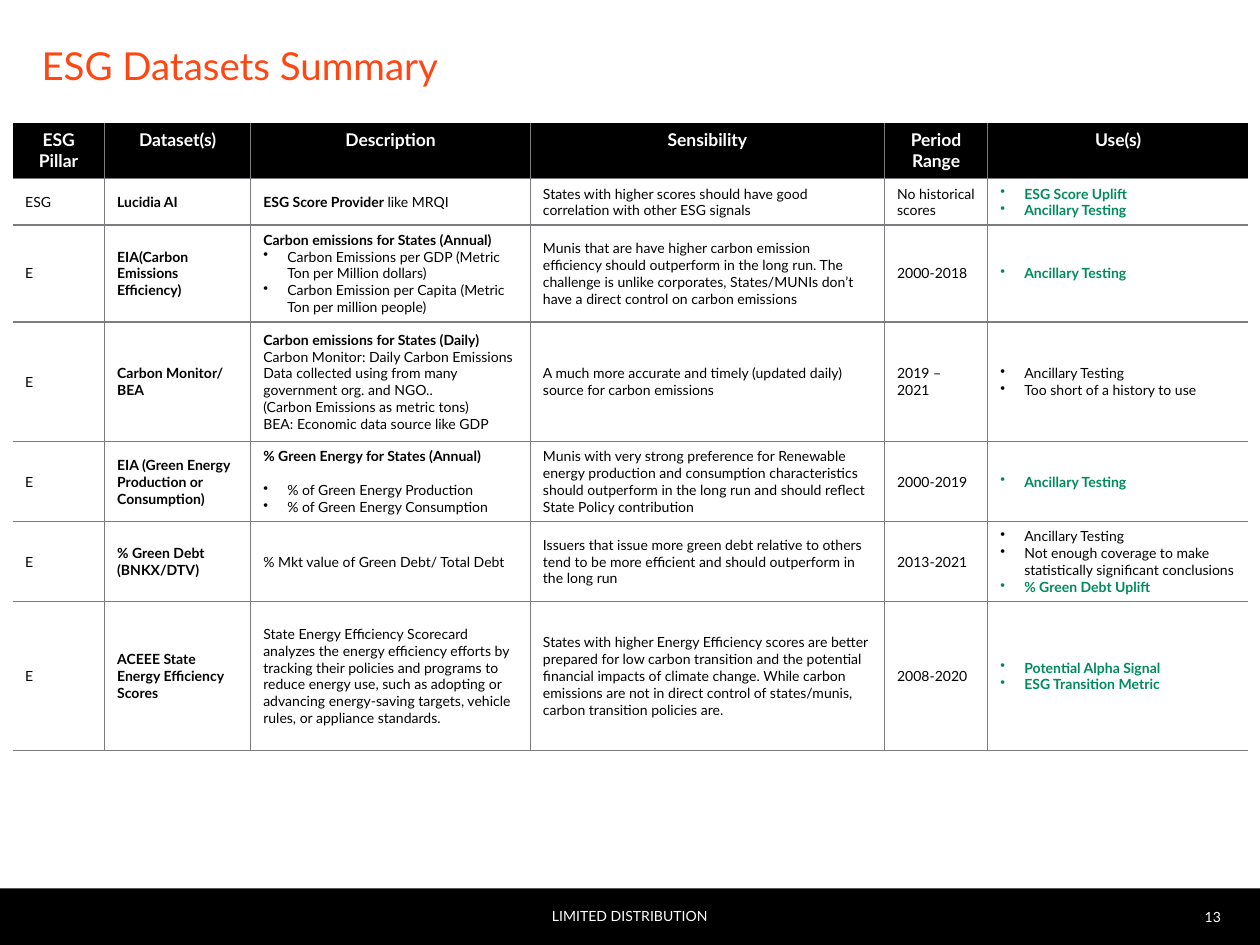
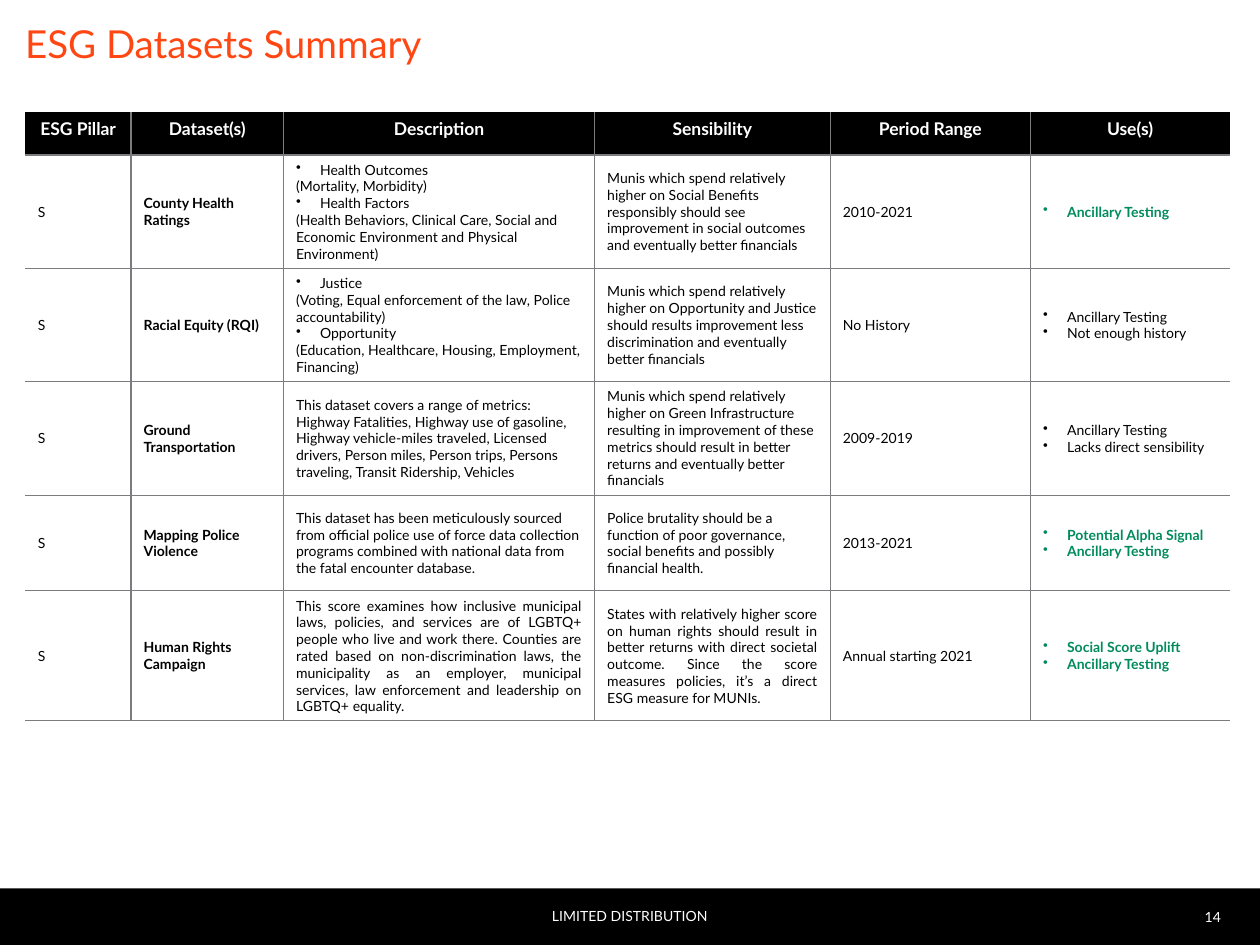
from pptx import Presentation
from pptx.dml.color import RGBColor
from pptx.enum.shapes import MSO_SHAPE as Shape
from pptx.enum.text import MSO_ANCHOR as Anchor, PP_ALIGN as Align
from pptx.oxml.ns import qn
from pptx.oxml.xmlchemy import OxmlElement as Element
from pptx.util import Inches, Pt

BLACK, WHITE, ORANGE, GREEN, GRAY = "000000", "FFFFFF", "FF4713", "008B5C", "7C7B7F"
FONT = "Lato"
PLAIN_TABLE = "{2D5ABB26-0587-4C30-8999-92F81FD0307C}"
HEADINGS = ["ESG Pillar", "Dataset(s)", "Description", "Sensibility", "Period Range", "Use(s)"]


def color(code):
    return RGBColor.from_string(code)


def line(text, **style):
    return dict(text=text, **style)


def bullet(text, **style):
    return line(text, bulleted=True, **style)


def chosen(text):
    return bullet(text, ink=GREEN, bold=True)


def justified(text):
    return line(text, align=Align.JUSTIFY)


def write(para, text, size=8, ink=BLACK, bold=False, align=Align.LEFT, bulleted=False, before=0):
    para.alignment = align
    if before:
        para.space_before = Pt(before)
    if bulleted:
        props = para._p.get_or_add_pPr()
        props.set("marL", str(Inches(0.19)))
        props.set("indent", str(-Inches(0.19)))
        mark = Element("a:buChar")
        mark.set("char", "•")
        props.append(mark)
    for index, part in enumerate(text.split("**")):
        if part:
            span = para.add_run()
            span.text = part
            span.font.name = FONT
            span.font.size = Pt(size)
            span.font.bold = bold or index % 2 == 1
            span.font.color.rgb = color(ink)


class Report:
    COLUMNS, ROWS = 100, 75

    def __init__(self):
        self.deck = Presentation()
        self.deck.slide_width, self.deck.slide_height = Inches(10), Inches(7.5)
        self.page = None

    def across(self, columns):
        return round(self.deck.slide_width * columns / self.COLUMNS)

    def down(self, rows):
        return round(self.deck.slide_height * rows / self.ROWS)

    def place(self, left, top, width, height):
        return self.across(left), self.down(top), self.across(width), self.down(height)

    def start_page(self, title, number, left, top):
        self.page = self.deck.slides.add_slide(self.deck.slide_layouts[6])
        self.band(0, 70.5, 100, 4.5)
        self.label(title, (left, top, 93.3, 6.5), Anchor.TOP, size=22, ink=ORANGE)
        self.label(str(number), (92.4, 70.5, 4.5, 4.5), ink=WHITE, align=Align.RIGHT)
        self.label("LIMITED DISTRIBUTION", (17.5, 70.4, 65, 4.5), ink=WHITE, align=Align.CENTER)

    def band(self, *area):
        shape = self.page.shapes.add_shape(Shape.RECTANGLE, *self.place(*area))
        shape.shadow.inherit = False
        shape.fill.solid()
        shape.fill.fore_color.rgb = color(BLACK)
        shape.line.fill.background()

    def label(self, text, area, anchor=Anchor.MIDDLE, **style):
        frame = self.page.shapes.add_textbox(*self.place(*area)).text_frame
        frame.word_wrap = True
        frame.vertical_anchor = anchor
        frame.margin_left = frame.margin_right = frame.margin_top = frame.margin_bottom = 0
        write(frame.paragraphs[0], text, **style)

    def border(self, cell, side):
        edge = Element(f"a:{side}")
        edge.set("w", str(Pt(0.75)))
        fill, ink = Element("a:solidFill"), Element("a:srgbClr")
        ink.set("val", GRAY)
        fill.append(ink)
        edge.append(fill)
        cell._tc.get_or_add_tcPr().append(edge)

    def fill_cell(self, cell, content, **style):
        lines = content if isinstance(content, list) else [content]
        for index, item in enumerate(lines):
            frame = cell.text_frame
            para = frame.add_paragraph() if index else frame.paragraphs[0]
            item = line(item) if isinstance(item, str) else item
            write(para, **{**style, **item})

    def table(self, left, top, widths, heights, records):
        area = self.place(left, top, sum(widths), sum(heights))
        frame = self.page.shapes.add_table(len(heights), len(widths), *area)
        next(frame._element.iter(qn("a:tableStyleId"))).text = PLAIN_TABLE
        table = frame.table
        table.first_row = table.horz_banding = False
        for column, width in zip(table.columns, widths):
            column.width = self.across(width)
        last = len(widths) - 1
        for y, (row, height, record) in enumerate(zip(table.rows, heights, [HEADINGS] + records)):
            row.height = self.down(height)
            for x, (cell, content) in enumerate(zip(row.cells, record)):
                sides = [("lnL", x > 0), ("lnR", x < last), ("lnT", y > 0), ("lnB", True)]
                for side, drawn in sides:
                    if drawn:
                        self.border(cell, side)
                if y:
                    cell.fill.background()
                    cell.vertical_anchor = Anchor.MIDDLE
                    self.fill_cell(cell, content, bold=x == 1)
                else:
                    cell.fill.solid()
                    cell.fill.fore_color.rgb = color(BLACK)
                    self.fill_cell(cell, content, size=10, ink=WHITE, bold=True, align=Align.CENTER)


ENVIRONMENT = [
    ["ESG", "Lucidia AI", "**ESG Score Provider **like MRQI",
     "States with higher scores should have good correlation with other ESG signals",
     "No historical scores", [chosen("ESG Score Uplift"), chosen("Ancillary Testing")]],
    ["E", "EIA(Carbon Emissions Efficiency)",
     ["**Carbon emissions for States (Annual)**",
      bullet("Carbon Emissions per GDP (Metric Ton per Million dollars)"),
      bullet("Carbon Emission per Capita (Metric Ton per million people)")],
     "Munis that are have higher carbon emission efficiency should outperform in the long run. "
     "The challenge is unlike corporates, States/MUNIs don’t have a direct control on carbon emissions",
     "2000-2018", chosen("Ancillary Testing")],
    ["E", ["Carbon Monitor/", "BEA"],
     ["**Carbon emissions for States (Daily)**",
      "Carbon Monitor: Daily Carbon Emissions Data collected using from many government org. and NGO..",
      "(Carbon Emissions as metric tons)",
      "BEA: Economic data source like GDP"],
     "A much more accurate and timely (updated daily) source for carbon emissions",
     "2019 – 2021", [bullet("Ancillary Testing"), bullet("Too short of a history to use")]],
    ["E", "EIA (Green Energy Production or Consumption)",
     ["**% Green Energy for States (Annual)**",
      bullet("% of Green Energy Production", before=9.6),
      bullet("% of Green Energy Consumption")],
     "Munis with very strong preference for Renewable energy production and consumption "
     "characteristics should outperform in the long run and should reflect State Policy contribution",
     "2000-2019", chosen("Ancillary Testing")],
    ["E", ["% Green Debt", "(BNKX/DTV)"], "% Mkt value of Green Debt/ Total Debt",
     "Issuers that issue more green debt relative to others tend to be more efficient "
     "and should outperform in the long run",
     "2013-2021",
     [bullet("Ancillary Testing"),
      bullet("Not enough coverage to make statistically significant conclusions"),
      chosen("% Green Debt Uplift")]],
    ["E", "ACEEE State Energy Efficiency Scores",
     "State Energy Efficiency Scorecard analyzes the energy efficiency efforts by tracking their "
     "policies and programs to reduce energy use, such as adopting or advancing energy-saving "
     "targets, vehicle rules, or appliance standards.",
     "States with higher Energy Efficiency scores are better prepared for low carbon transition "
     "and the potential financial impacts of climate change. While carbon emissions are not in "
     "direct control of states/munis, carbon transition policies are.",
     "2008-2020", [chosen("Potential Alpha Signal"), chosen("ESG Transition Metric")]],
]

SOCIAL = [
    ["S", "County Health Ratings",
     [bullet("Health Outcomes"), "(Mortality, Morbidity)", bullet("Health Factors"),
      "(Health Behaviors, Clinical Care, Social and Economic Environment and Physical Environment)"],
     "Munis which spend relatively higher on Social Benefits responsibly should see improvement "
     "in social outcomes and eventually better financials",
     "2010-2021", chosen("Ancillary Testing")],
    ["S", "Racial Equity (RQI)",
     [bullet("Justice"), "(Voting, Equal enforcement of the law, Police accountability)",
      bullet("Opportunity"), "(Education, Healthcare, Housing, Employment, Financing)"],
     "Munis which spend relatively higher on Opportunity and Justice should results improvement "
     "less discrimination and eventually better financials",
     "No History", [bullet("Ancillary Testing"), bullet("Not enough history")]],
    ["S", "Ground Transportation",
     "This dataset covers a range of metrics: Highway Fatalities, Highway use of gasoline, Highway "
     "vehicle-miles traveled, Licensed drivers, Person miles, Person trips, Persons traveling, "
     "Transit Ridership, Vehicles",
     "Munis which spend relatively higher on Green Infrastructure resulting in improvement of these "
     "metrics should result in better returns and eventually better financials",
     "2009-2019", [bullet("Ancillary Testing"), bullet("Lacks direct sensibility")]],
    ["S", "Mapping Police Violence",
     "This dataset has been meticulously sourced from official police use of force data collection "
     "programs combined with national data from the fatal encounter database.",
     "Police brutality should be a function of poor governance, social benefits and possibly "
     "financial health.",
     "2013-2021", [chosen("Potential Alpha Signal"), chosen("Ancillary Testing")]],
    ["S", "Human Rights Campaign",
     justified("This score examines how inclusive municipal laws, policies, and services are of "
               "LGBTQ+ people who live and work there. Counties are rated based on "
               "non-discrimination laws, the municipality as an employer, municipal services, "
               "law enforcement and leadership on LGBTQ+ equality."),
     justified("States with relatively higher score on human rights should result in better returns "
               "with direct societal outcome. Since the score measures policies, it’s a direct "
               "ESG measure for MUNIs."),
     "Annual starting 2021", [chosen("Social Score Uplift"), chosen("Ancillary Testing")]],
]


def main():
    report = Report()
    title = "ESG Datasets Summary"
    report.start_page(title, 13, left=3.3, top=3.3)
    report.table(1, 9.8, [7.3, 11.6, 22.2, 28.1, 8.2, 20.7],
                 [4.4, 3.6, 7.7, 9.5, 6.35, 6.35, 11.8], ENVIRONMENT)
    report.start_page(title, 14, left=2, top=1.6)
    report.table(2, 8.9, [8.4, 12.1, 24.7, 18.7, 15.9, 15.8],
                 [3.4, 9, 9, 9, 7.6, 10.3], SOCIAL)
    report.deck.save("out.pptx")


if __name__ == "__main__":
    main()
